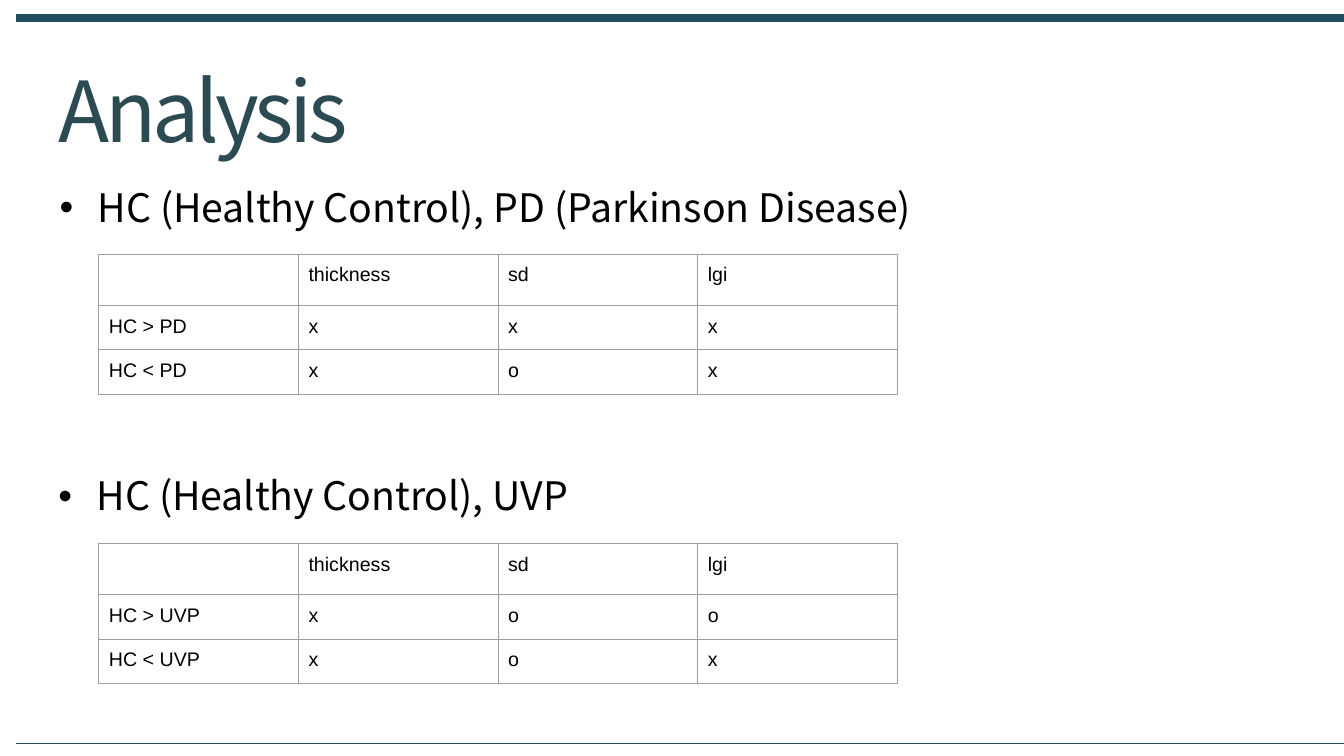
from lxml.etree import SubElement
from pptx import Presentation
from pptx.dml.color import RGBColor
from pptx.enum.shapes import MSO_CONNECTOR
from pptx.enum.text import MSO_ANCHOR, MSO_AUTO_SIZE, PP_ALIGN
from pptx.oxml.ns import qn
from pptx.util import Inches, Pt


def style_font(font, name, size, color):
    font.name = name
    font.size = Pt(size)
    font.color.rgb = RGBColor.from_string(color)


def add_border(cell, color, width):
    """Outline all four sides of a table cell, ahead of its fill."""
    properties = cell._tc.get_or_add_tcPr()
    for side in ("a:lnL", "a:lnR", "a:lnT", "a:lnB"):
        line = SubElement(properties, qn(side), w=str(Pt(width)))
        fill = SubElement(line, qn("a:solidFill"))
        SubElement(fill, qn("a:srgbClr"), val=color)


HEADING_FONT = "Noto Sans CJK KR"
MEASURES = ("", "thickness", "sd", "lgi")
ROW_HEIGHTS = (0.51, 0.44, 0.44)
COLUMN_WIDTH = 1.98

# heading, heading left, heading top, table top, table rows
COMPARISONS = [
    ("HC (Healthy Control), PD (Parkinson Disease)", 0.49, 1.82, 2.52,
     [MEASURES, ("HC > PD", "x", "x", "x"), ("HC < PD", "x", "o", "x")]),
    ("HC (Healthy Control), UVP", 0.48, 4.68, 5.39,
     [MEASURES, ("HC > UVP", "x", "o", "o"), ("HC < UVP", "x", "o", "x")]),
]

prs = Presentation()
prs.slide_width = Inches(13.33)
prs.slide_height = Inches(7.5)
slide = prs.slides.add_slide(prs.slide_layouts[3])

for y, width in ((0.18, 6), (7.37, 0.25)):
    rule = slide.shapes.add_connector(
        MSO_CONNECTOR.STRAIGHT, Inches(0.16), Inches(y), Inches(13.35), Inches(y))
    rule.line.color.rgb = RGBColor.from_string("224D60")
    rule.line.width = Pt(width)
    SubElement(rule._element.spPr, qn("a:effectLst"))

title = slide.shapes.title
title.left, title.top = Inches(0.48), Inches(0.53)
title.width, title.height = Inches(8.06), Inches(1.11)
title.text_frame.text = "Analysis"
title.text_frame.auto_size = MSO_AUTO_SIZE.NONE
title.text_frame.vertical_anchor = MSO_ANCHOR.MIDDLE
name = title.text_frame.paragraphs[0]
name.alignment = PP_ALIGN.LEFT
style_font(name.font, HEADING_FONT, 60, "2C4A52")
name.runs[0]._r.get_or_add_rPr().set("spc", "-300")

headings = list(slide.placeholders)[1:]
for heading, (wording, left, top, table_top, rows) in zip(headings, COMPARISONS):
    heading.left, heading.top = Inches(left), Inches(top)
    heading.width, heading.height = Inches(10.6), Inches(0.96)
    heading.text_frame.text = wording
    heading.text_frame.auto_size = MSO_AUTO_SIZE.NONE
    bullet_line = heading.text_frame.paragraphs[0]
    bullet_line.line_spacing = 0.9
    bullet_line.space_before = Pt(0)
    properties = bullet_line._p.get_or_add_pPr()
    properties.set("marL", str(Inches(0.38)))
    properties.set("indent", str(Inches(-0.38)))
    SubElement(properties, qn("a:buFont"), typeface="Arial")
    SubElement(properties, qn("a:buChar"), char="•")
    style_font(bullet_line.font, HEADING_FONT, 28, "000000")

    results = slide.shapes.add_table(
        len(rows), len(MEASURES), Inches(0.98), Inches(table_top),
        Inches(COLUMN_WIDTH * len(MEASURES)), Inches(sum(ROW_HEIGHTS))).table
    results.first_row = results.horz_banding = False
    for column in results.columns:
        column.width = Inches(COLUMN_WIDTH)
    for row, height, values in zip(results.rows, ROW_HEIGHTS, rows):
        row.height = Inches(height)
        for cell, value in zip(row.cells, values):
            cell.margin_left = cell.margin_right = Inches(0.1)
            cell.margin_top = cell.margin_bottom = Inches(0.1)
            add_border(cell, "9E9E9E", 0.75)
            cell.fill.background()
            cell.text = value
            style_font(cell.text_frame.paragraphs[0].font, "Arial", 14, "000000")

prs.save("out.pptx")
